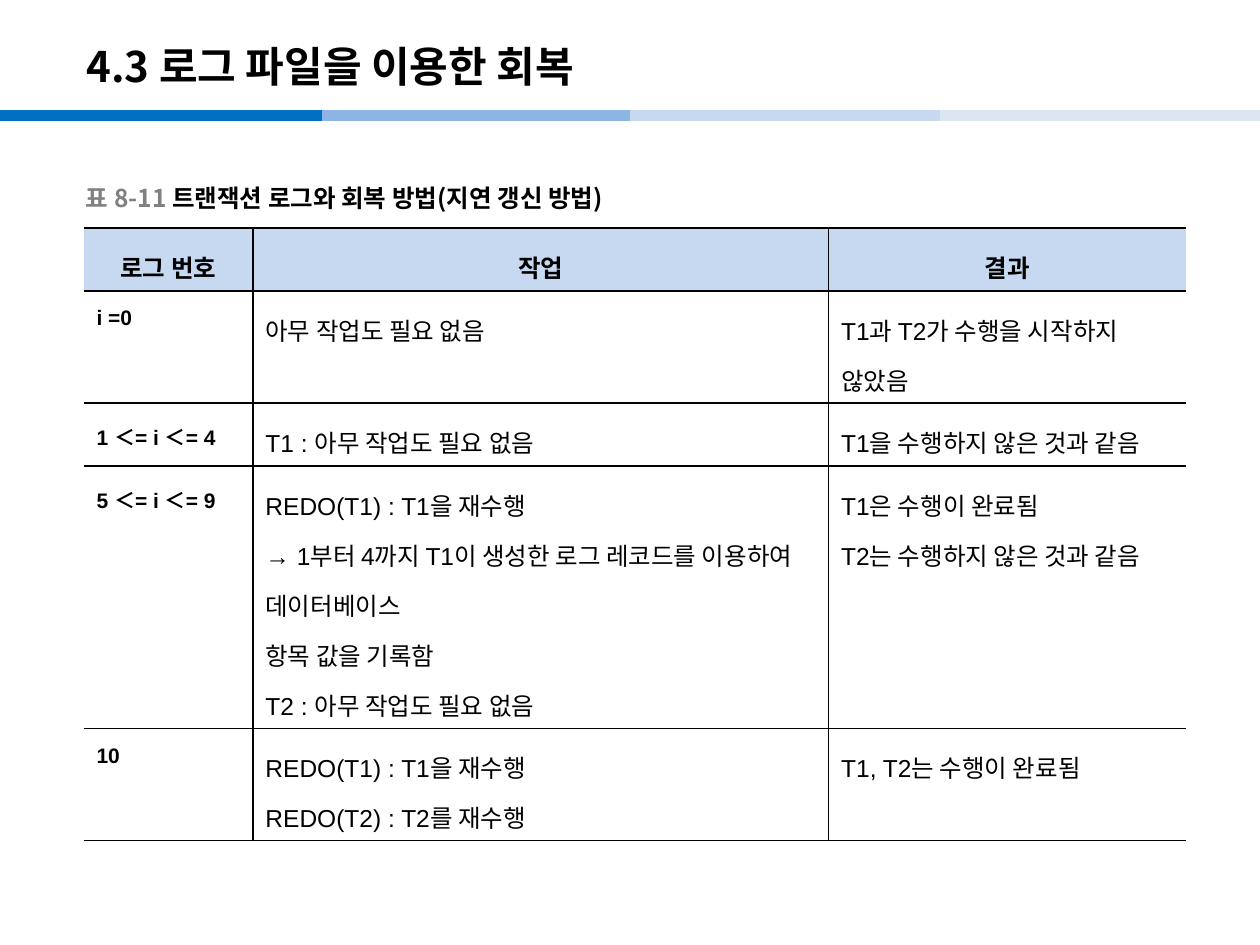
from lxml.etree import SubElement
from pptx import Presentation
from pptx.dml.color import RGBColor
from pptx.enum.shapes import MSO_CONNECTOR
from pptx.enum.text import MSO_ANCHOR, PP_ALIGN
from pptx.oxml import parse_xml
from pptx.oxml.ns import nsdecls, qn
from pptx.util import Pt

COLORS = {
    "text": "000000", "label": "808080", "border": "000000",
    "header": "C6D9F1", "body": "FFFFFF",
    "band1": "0070C0", "band2": "8EB4E3", "band3": "C6D9F1", "band4": "DCE6F2",
}
HEADING_FONT, TABLE_FONT = "Noto Sans CJK KR", "Arial"
COLUMN_WIDTHS = (96.5, 329, 204)
COLUMN_BORDERS = ("RTB", "LRTB", "LTB")
ROW_HEIGHTS = (36, 64, 36, 150, 64)
ROWS = (
    ("로그 번호", "작업", "결과"),
    ("i =0", "아무 작업도 필요 없음", "T1과 T2가 수행을 시작하지 않았음"),
    ("1 ＜= i ＜= 4", "T1 : 아무 작업도 필요 없음", "T1을 수행하지 않은 것과 같음"),
    ("5 ＜= i ＜= 9",
     "REDO(T1) : T1을 재수행\n"
     "→ 1부터 4까지 T1이 생성한 로그 레코드를 이용하여 데이터베이스\n"
     "항목 값을 기록함\n"
     "T2 : 아무 작업도 필요 없음",
     "T1은 수행이 완료됨\nT2는 수행하지 않은 것과 같음"),
    ("10", "REDO(T1) : T1을 재수행\nREDO(T2) : T2를 재수행", "T1, T2는 수행이 완료됨"),
)


def rgb(name):
    return RGBColor.from_string(COLORS[name])


def format_font(font, color="text", **values):
    """Set the colour and the given values, with pair kerning off."""
    font.color.rgb = rgb(color)
    for name, value in values.items():
        setattr(font, name, value)
    font._element.set("kern", "0")


def add_bands(slide, top):
    bands = ((0, "band1"), (184.3, "band2"), (360, "band3"), (537.1, "band4"))
    for left, color in bands:
        line = slide.shapes.add_connector(
            MSO_CONNECTOR.STRAIGHT, Pt(left), Pt(top), Pt(left + 184.3), Pt(top))
        line.line.color.rgb = rgb(color)
        line.line.width = Pt(6)
        SubElement(line._element.spPr, qn("a:effectLst"))


def add_heading(slide, box, runs, size):
    """Add one bold line made of (text, color) runs."""
    frame = slide.shapes.add_textbox(*map(Pt, box)).text_frame
    for name, value in {"word_wrap": True, "vertical_anchor": MSO_ANCHOR.MIDDLE}.items():
        setattr(frame, name, value)
    for text, color in runs:
        run = frame.paragraphs[0].add_run()
        run.text = text
        format_font(run.font, color, name=HEADING_FONT, size=Pt(size), bold=True)
        SubElement(run.font._element, qn("a:ea")).set("typeface", HEADING_FONT)


def add_borders(cell, sides):
    """Draw the given sides, and leave the others without a line."""
    properties = cell._tc.get_or_add_tcPr()
    for index, side in enumerate("LRTB"):
        fill = (f'<a:solidFill><a:srgbClr val="{COLORS["border"]}"/></a:solidFill>'
                if side in sides else "<a:noFill/>")
        properties.insert(index, parse_xml(
            f'<a:ln{side} {nsdecls("a")} w="12700">{fill}</a:ln{side}>'))


def fill_cell(cell, text, is_header, is_key):
    cell.text = text
    cell.vertical_anchor = MSO_ANCHOR.MIDDLE if is_header else MSO_ANCHOR.TOP
    cell.fill.solid()
    cell.fill.fore_color.rgb = rgb("header" if is_header else "body")
    size = 12 if is_key and not is_header else 14
    for paragraph in cell.text_frame.paragraphs:
        paragraph.line_spacing = 1.4
        paragraph.alignment = PP_ALIGN.CENTER if is_header else PP_ALIGN.LEFT
        format_font(paragraph.runs[0].font, name=TABLE_FONT, size=Pt(size),
                    bold=is_header or is_key)


def add_log_table(slide, left, top):
    table = slide.shapes.add_table(
        len(ROWS), len(COLUMN_WIDTHS), Pt(left), Pt(top),
        Pt(sum(COLUMN_WIDTHS)), Pt(sum(ROW_HEIGHTS))).table
    table.horz_banding = False
    for column, width in zip(table.columns, COLUMN_WIDTHS):
        column.width = Pt(width)
    for row_index, (texts, height) in enumerate(zip(ROWS, ROW_HEIGHTS)):
        table.rows[row_index].height = Pt(height)
        for column_index, text in enumerate(texts):
            cell = table.cell(row_index, column_index)
            fill_cell(cell, text, row_index == 0, column_index == 0)
            add_borders(cell, COLUMN_BORDERS[column_index])


def main():
    presentation = Presentation()
    presentation.slide_width, presentation.slide_height = Pt(720), Pt(540)
    slide = presentation.slides.add_slide(presentation.slide_layouts[6])
    add_bands(slide, 66)
    add_heading(slide, (42.3, 16, 595.5, 43),
                [("4.3 로그 파일을 이용한 회복", "text")], 24)
    add_log_table(slide, 48, 130.4)
    add_heading(slide, (42, 102, 360, 22.3),
                [("표 8-11 ", "label"),
                 ("트랜잭션 로그와 회복 방법(지연 갱신 방법)", "text")], 14)
    presentation.save("out.pptx")


if __name__ == "__main__":
    main()
